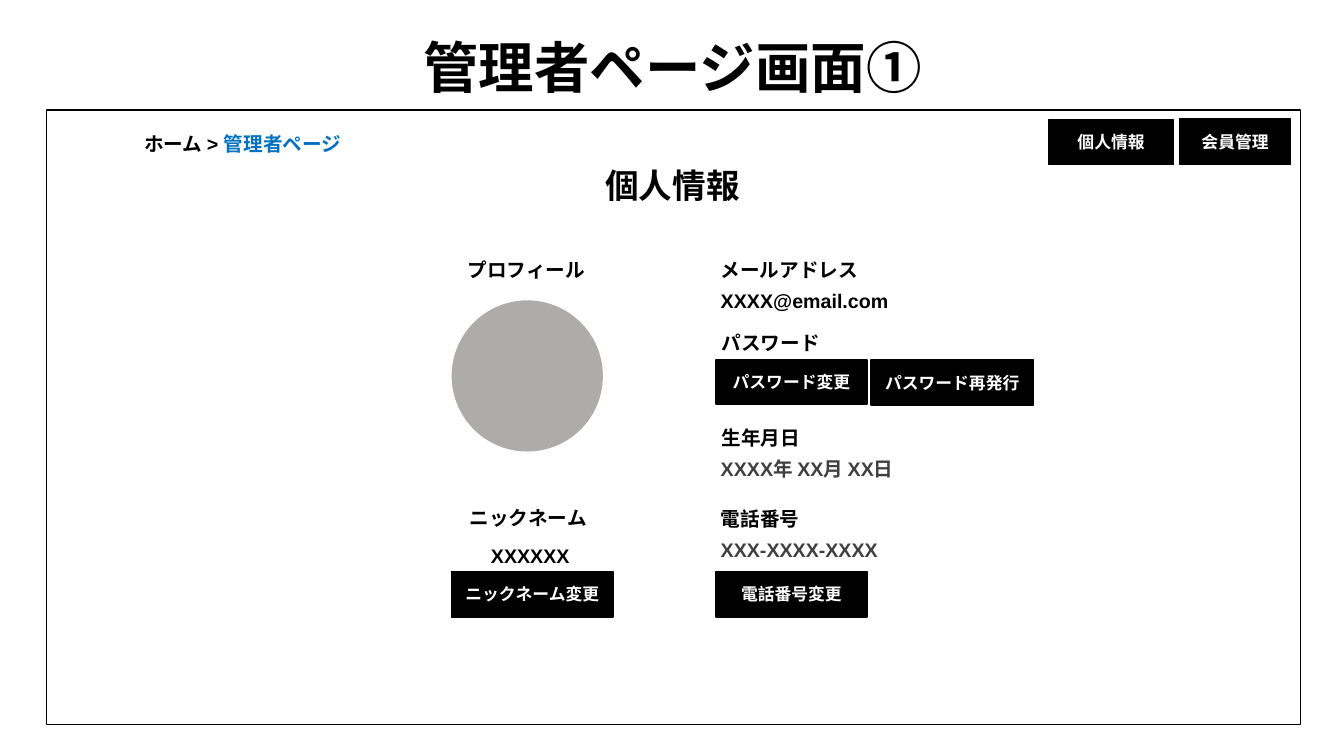
import pptx
import pptx.util
import pptx.dml.color
import pptx.enum.shapes
import pptx.enum.text
from dataclasses import dataclass

Inches, Pt = pptx.util.Inches, pptx.util.Pt
RGB = pptx.dml.color.RGBColor.from_string
SHAPE = pptx.enum.shapes.MSO_SHAPE
ALIGN = pptx.enum.text.PP_ALIGN
ANCHOR = pptx.enum.text.MSO_ANCHOR


@dataclass(frozen=True)
class Theme:
    font: str = "Arial"
    black: str = "000000"
    white: str = "FFFFFF"
    grey: str = "404040"
    avatar: str = "AEABAB"
    blue: str = "0070C0"
    title: float = 39.6
    heading: float = 24
    body: float = 14
    button: float = 12


theme = Theme()
prs = pptx.Presentation()
prs.slide_width, prs.slide_height = Inches(13.33), Inches(7.5)
s = prs.slides.add_slide(prs.slide_layouts[6])


def add_box(box, fill, line=None, kind=SHAPE.RECTANGLE):
    sp = s.shapes.add_shape(kind, *map(Inches, box))
    sp.shadow.inherit = False
    sp.fill.solid()
    sp.fill.fore_color.rgb = RGB(fill)
    if line:
        sp.line.color.rgb = RGB(line)
        sp.line.width = Pt(1)
    else:
        sp.line.fill.background()
    return sp


def write(sp, text, size, color=theme.black, align=ALIGN.LEFT, anchor=ANCHOR.TOP):
    tf = sp.text_frame
    tf.word_wrap = True
    tf.vertical_anchor = anchor
    p = tf.paragraphs[0]
    p.text = text
    p.alignment = align
    r = p.runs[0]
    r.font.name, r.font.size, r.font.bold = theme.font, Pt(size), True
    r.font.color.rgb = RGB(color)
    return p


# Page frame and slide title
add_box((0.46, 1.09, 12.44, 6.1), theme.white, theme.black)
sp = s.shapes.add_textbox(Inches(0.92), Inches(0.4), Inches(11.5), Inches(0.6))
p = write(sp, "管理者ページ画面①", theme.title, align=ALIGN.CENTER, anchor=ANCHOR.MIDDLE)
p.line_spacing = 0.9

# Field values
values = [
    ("XXXX@email.com", (7.05, 2.84, 3.62, 0.29), theme.black, ALIGN.LEFT),
    ("XXXX年 XX月 XX日", (7.05, 4.45, 3.29, 0.4), theme.grey, ALIGN.LEFT),
    ("XXX-XXXX-XXXX", (7.05, 5.28, 2.37, 0.34), theme.grey, ALIGN.LEFT),
    ("XXXXXX", (4.41, 5.33, 1.7, 0.36), theme.black, ALIGN.CENTER),
]
for text, box, color, align in values:
    write(add_box(box, theme.white), text, theme.body, color, align, ANCHOR.MIDDLE)

# Section heading and field labels
labels = [
    ("個人情報", (4.09, 1.59, 5.16, 0.5), theme.heading, ALIGN.CENTER),
    ("プロフィール", (4.06, 2.51, 2.32, 0.34), theme.body, ALIGN.CENTER),
    ("ニックネーム ", (4.41, 4.97, 1.7, 0.34), theme.body, ALIGN.CENTER),
    ("メールアドレス", (7.05, 2.51, 2.04, 0.34), theme.body, ALIGN.LEFT),
    ("パスワード", (7.06, 3.23, 3.29, 0.34), theme.body, ALIGN.LEFT),
    ("生年月日", (7.06, 4.18, 3.29, 0.34), theme.body, ALIGN.LEFT),
    ("電話番号", (7.05, 4.98, 2.15, 0.34), theme.body, ALIGN.LEFT),
]
for text, box, size, align in labels:
    write(s.shapes.add_textbox(*map(Inches, box)), text, size, align=align)

# Profile picture circle
add_box((4.48, 2.98, 1.5, 1.5), theme.avatar, kind=SHAPE.OVAL)

# Breadcrumb, with the current page in blue
sp = s.shapes.add_textbox(Inches(1.33), Inches(1.26), Inches(6.22), Inches(0.34))
p = write(sp, "ホーム > ", theme.body)
r = p.add_run()
r.text = "管理者ページ"
r.font.name, r.font.size, r.font.bold = theme.font, Pt(theme.body), True
r.font.color.rgb = RGB(theme.blue)

# Buttons
buttons = [
    ("パスワード変更", (7.1, 3.57, 1.5, 0.44)),
    ("パスワード再発行", (8.64, 3.57, 1.61, 0.45)),
    ("電話番号変更", (7.1, 5.67, 1.5, 0.45)),
    ("ニックネーム変更", (4.48, 5.67, 1.6, 0.45)),
    ("会員管理", (11.7, 1.18, 1.1, 0.45)),
    ("個人情報", (10.4, 1.19, 1.24, 0.44)),
]
for text, box in buttons:
    sp = add_box(box, theme.black, theme.black)
    write(sp, text, theme.button, theme.white, ALIGN.CENTER, ANCHOR.MIDDLE)

prs.save("out.pptx")
